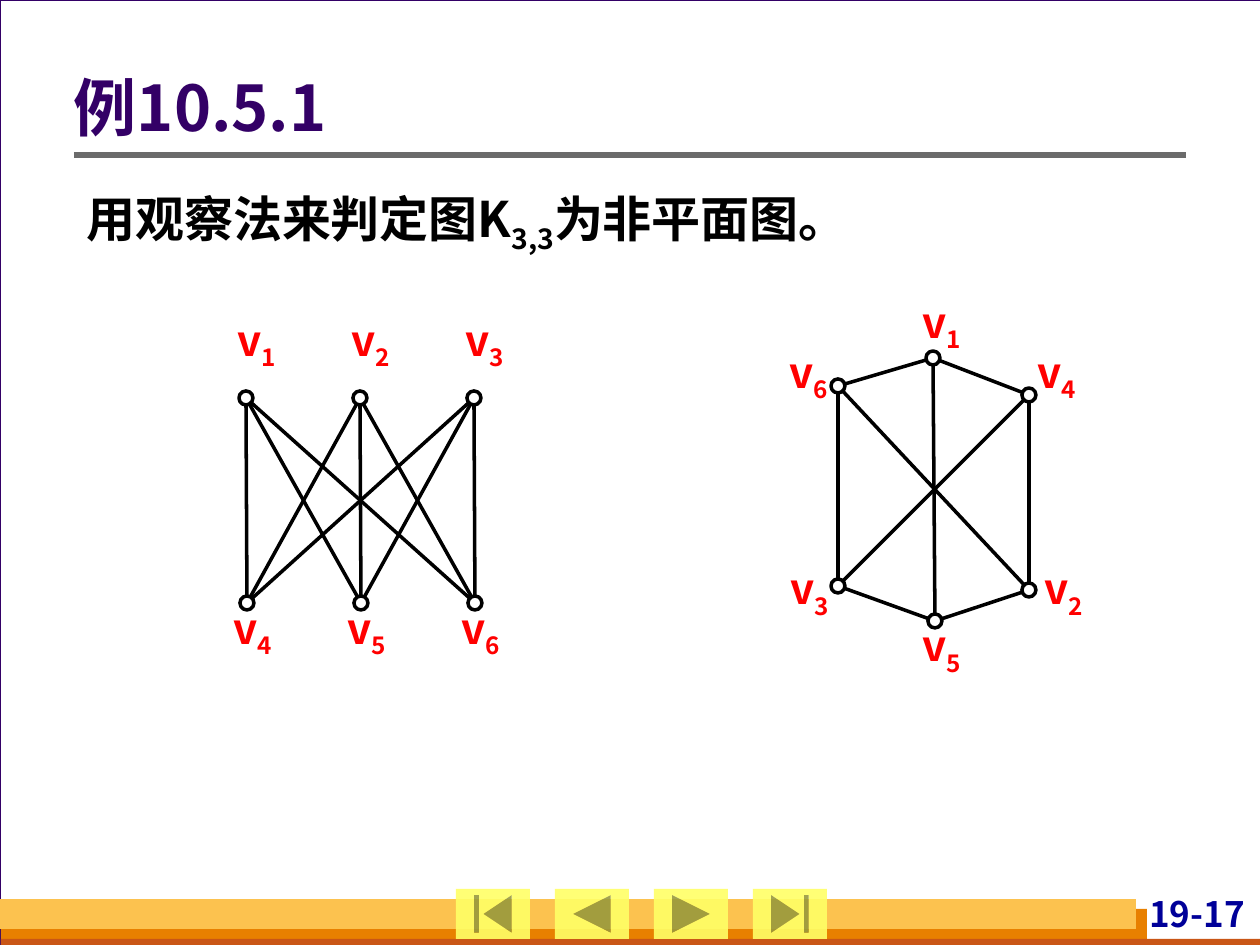
import math
import pptx
import pptx.dml.color
import pptx.enum.shapes
import pptx.enum.text
import pptx.oxml.ns
import pptx.util
from lxml import etree

RGB = pptx.dml.color.RGBColor
KIND = pptx.enum.shapes.MSO_SHAPE
ALIGN = pptx.enum.text.PP_ALIGN
qn = pptx.oxml.ns.qn

FACE = "Noto Sans CJK SC"
GRAY = RGB(0xD8, 0xDA, 0xDA)
WHITE = RGB(0xFF, 0xFF, 0xFF)
BLACK = RGB(0, 0, 0)
PURPLE = RGB(0x33, 0x00, 0x66)
ORANGE = RGB(0xE8, 0x80, 0x00)
RUST = RGB(0xC9, 0x56, 0x16)
GOLD = RGB(0xFC, 0xC2, 0x4F)
YELLOW = RGB(0xFF, 0xFF, 0x66)
RULE = RGB(0x6B, 0x6B, 0x6B)
NAVY = RGB(0, 0, 0x99)
RED = RGB(0xFF, 0, 0)

# Edges of K3,3, shared by both drawings
EDGES = [(a, b) for a in (1, 2, 3) for b in (4, 5, 6)]
RADIUS = 7


def px(n):
    return pptx.util.Emu(round(n * 914400 / 126))


def add_box(shapes, kind, box, fill, line=None, width=2):
    shape = shapes.add_shape(kind, *map(px, box))
    shape.shadow.inherit = False
    shape.fill.solid()
    shape.fill.fore_color.rgb = fill
    if line is None:
        shape.line.fill.background()
    else:
        shape.line.color.rgb = line
        shape.line.width = pptx.util.Pt(width)
    return shape


def add_line(shapes, start, end, color, width):
    line = shapes.add_connector(
        pptx.enum.shapes.MSO_CONNECTOR.STRAIGHT, *map(px, (*start, *end)))
    line.line.color.rgb = color
    line.line.width = pptx.util.Pt(width)
    etree.SubElement(line._element.spPr, qn("a:effectLst"))


def add_text(shapes, box, parts, size, color, frame=None, para=None):
    """Add one bold paragraph; every second part is a subscript."""
    text = shapes.add_textbox(*map(px, box)).text_frame
    text.word_wrap = True
    for name, value in (frame or {}).items():
        setattr(text, name, value)
    line = text.paragraphs[0]
    for name, value in (para or {}).items():
        setattr(line, name, value)
    for i, part in enumerate(parts):
        run = line.add_run()
        run.text = part
        font = {"name": FACE, "size": pptx.util.Pt(size), "bold": True}
        for name, value in font.items():
            setattr(run.font, name, value)
        run.font.color.rgb = color
        props = run._r.get_or_add_rPr()
        etree.SubElement(props, qn("a:ea"), typeface=FACE)
        if i % 2:
            props.set("baseline", "-25000")


def margins(left, top, right, bottom):
    return {"margin_left": px(left), "margin_top": px(top),
            "margin_right": px(right), "margin_bottom": px(bottom)}


def trim(start, end):
    """Move start towards end by the radius of a node."""
    step = RADIUS / math.dist(start, end)
    return [a + (b - a) * step for a, b in zip(start, end)]


def add_graph(slide, nodes, tags):
    """nodes: centres by number; tags: top left of each label."""
    shapes = slide.shapes.add_group_shape().shapes
    for a, b in EDGES:
        add_line(shapes, trim(nodes[a], nodes[b]), trim(nodes[b], nodes[a]),
                 BLACK, 2)
    for x, y in nodes.values():
        box = (x - RADIUS, y - RADIUS, 2 * RADIUS, 2 * RADIUS)
        add_box(shapes, KIND.OVAL, box, WHITE, BLACK)
    for n, (x, y) in tags.items():
        add_text(shapes, (x, y, 59, 58), ["v", str(n)], 24, RED,
                 margins(0, 0, 0, 0), {"alignment": ALIGN.CENTER})


def add_button(slide, kind, x):
    shape = add_box(slide.shapes, kind, (x, 889, 74, 50), YELLOW)
    color = shape._element.spPr.find(qn("a:solidFill"))[0]
    etree.SubElement(color, qn("a:alpha"), val="90000")


def add_frame(slide):
    slide.background.fill.solid()
    slide.background.fill.fore_color.rgb = GRAY
    shapes = slide.shapes
    add_box(shapes, KIND.RECTANGLE, (0, 0, 1261, 945), WHITE, PURPLE, 0.75)
    for box, fill in (((1, 909, 1146, 36), ORANGE),
                      ((1, 939, 1260, 10), RUST),
                      ((0, 899, 1136, 30), GOLD)):
        add_box(shapes, KIND.RECTANGLE, box, fill)
    add_text(shapes, (1096, 892, 154, 42), ["19-17"], 20, NAVY,
             margins(5, 0, 5, 0), {"alignment": ALIGN.RIGHT})
    add_line(shapes, (74, 155), (1186, 155), RULE, 3)
    kinds = (KIND.ACTION_BUTTON_BEGINNING,
             KIND.ACTION_BUTTON_BACK_OR_PREVIOUS,
             KIND.ACTION_BUTTON_FORWARD_OR_NEXT,
             KIND.ACTION_BUTTON_END)
    for i, kind in enumerate(kinds):
        add_button(slide, kind, 456 + 99 * i)


def main():
    deck = pptx.Presentation()
    deck.slide_width, deck.slide_height = px(1260), px(945)
    slide = deck.slides.add_slide(deck.slide_layouts[6])
    add_frame(slide)
    add_text(slide.shapes, (74, 48, 1111, 127), ["例10.5.1"], 36, PURPLE,
             {"vertical_anchor": pptx.enum.text.MSO_ANCHOR.MIDDLE,
              **margins(0, 6, 13, 6)}, {"line_spacing": 0.9})
    add_text(slide.shapes, (74, 169, 1111, 93),
             ["用观察法来判定图K", "3,3", "为非平面图。"], 28, BLACK,
             para={"alignment": ALIGN.JUSTIFY, "line_spacing": 1.2})

    nodes, tags = {}, {}
    for i in range(3):
        nodes[i + 1] = (246 + 114 * i, 398)
        nodes[i + 4] = (247 + 114 * i, 603)
        tags[i + 1] = (227 + 114 * i, 314)
        tags[i + 4] = (223 + 114 * i, 602)
    add_graph(slide, nodes, tags)

    ring = {1: (933, 358), 4: (1029, 395), 2: (1029, 590),
            5: (935, 621), 3: (838, 586), 6: (838, 386)}
    names = {1: (912, 296), 4: (1027, 346), 2: (1034, 563),
             5: (912, 620), 3: (780, 563), 6: (779, 346)}
    add_graph(slide, ring, names)
    deck.save("out.pptx")


if __name__ == "__main__":
    main()
